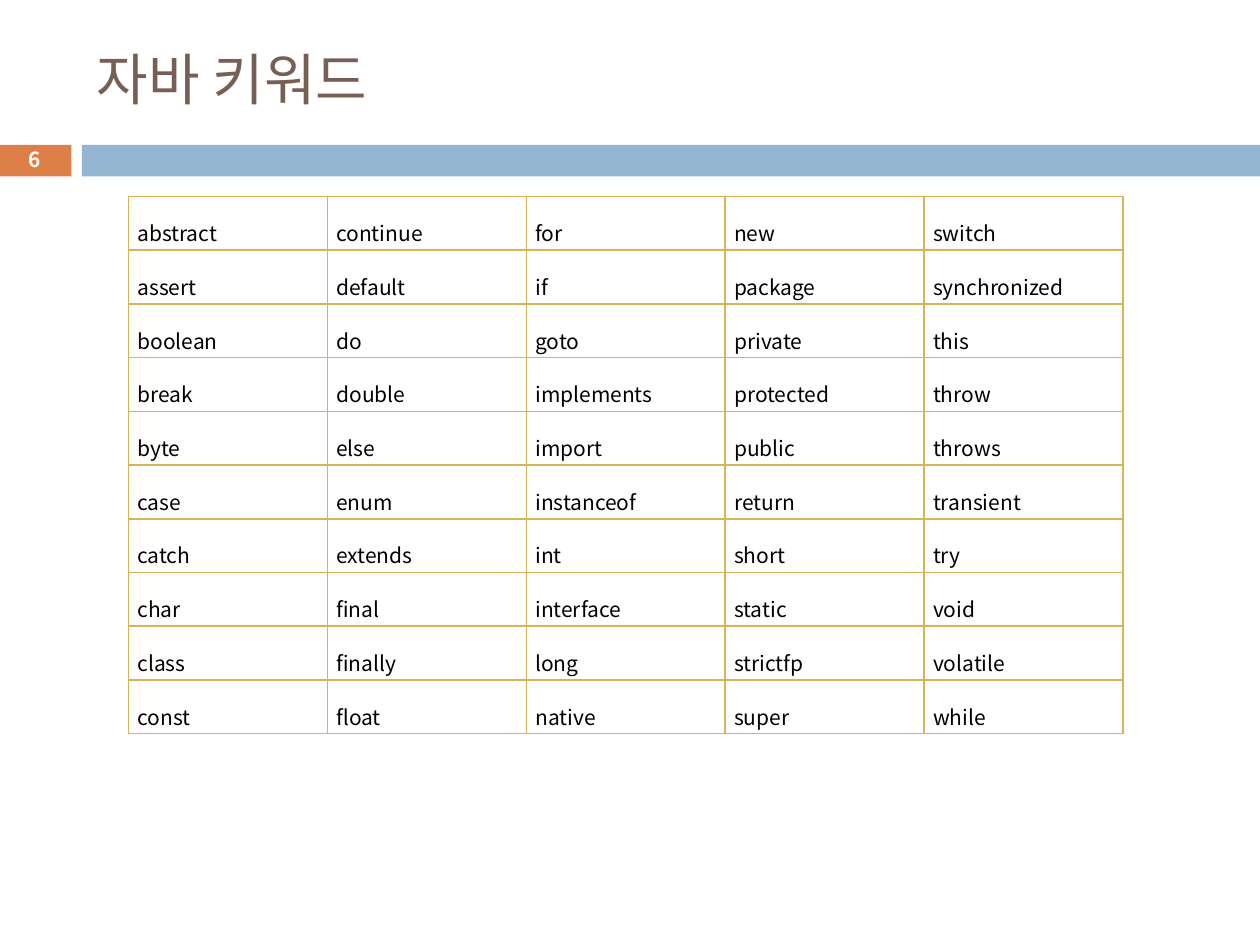
"""Build the slide that lists the Java keywords in a table."""
from dataclasses import dataclass

from lxml.etree import SubElement
from pptx import Presentation
from pptx.dml.color import RGBColor
from pptx.enum.shapes import MSO_SHAPE
from pptx.enum.text import MSO_ANCHOR, MSO_AUTO_SIZE, PP_ALIGN
from pptx.oxml.ns import qn
from pptx.slide import Slide
from pptx.table import _Cell
from pptx.text.text import TextFrame
from pptx.util import Cm, Pt

COLORS = {
    "page": "DD8047",
    "band": "94B6D2",
    "title": "775F55",
    "border": "D8B25C",
    "keyword": "000000",
    "number": "FFFFFF",
}
FONT = "Noto Sans CJK KR"
KEYWORDS = """
abstract continue for new switch
assert default if package synchronized
boolean do goto private this
break double implements protected throw
byte else import public throws
case enum instanceof return transient
catch extends int short try
char final interface static void
class finally long strictfp volatile
const float native super while
"""
CELL_FORMAT = {
    "margin_left": Cm(0.18),
    "margin_right": Cm(0.18),
    "margin_top": Cm(0.05),
    "margin_bottom": Cm(0.05),
    "vertical_anchor": MSO_ANCHOR.MIDDLE,
}
FRAME_FORMAT = {
    "word_wrap": True,
    "auto_size": MSO_AUTO_SIZE.NONE,
    "vertical_anchor": MSO_ANCHOR.MIDDLE,
}


@dataclass(frozen=True)
class Box:
    left: float
    top: float
    width: float
    height: float

    def lengths(self) -> tuple[Cm, Cm, Cm, Cm]:
        return Cm(self.left), Cm(self.top), Cm(self.width), Cm(self.height)


@dataclass(frozen=True)
class Bar:
    box: Box
    color: str


@dataclass(frozen=True)
class Style:
    size: float
    color: str
    align: PP_ALIGN
    bold: bool = False
    spacing: float = 1.0


BARS = (
    Bar(Box(-0.03, 2.92, 1.47, 0.64), "page"),
    Bar(Box(1.65, 2.92, 23.75, 0.64), "band"),
)
TITLE_BOX = Box(1.7, 0.64, 22.66, 1.88)
NUMBER_BOX = Box(-0.03, 2.87, 1.47, 0.69)
TABLE_LEFT, TABLE_TOP = 2.59, 3.96
COLUMN_WIDTH, ROW_HEIGHT = 4.01, 0.86
TITLE_STYLE = Style(32, "title", PP_ALIGN.LEFT)
NUMBER_STYLE = Style(11.9, "number", PP_ALIGN.CENTER, bold=True)
KEYWORD_STYLE = Style(12, "keyword", PP_ALIGN.JUSTIFY, spacing=1.6)


def rgb(name: str) -> RGBColor:
    return RGBColor.from_string(COLORS[name])


def apply_format(target: object, values: dict) -> None:
    for attribute, value in values.items():
        setattr(target, attribute, value)


def write(frame: TextFrame, words: str, style: Style) -> None:
    paragraph = frame.paragraphs[0]
    apply_format(paragraph, {"alignment": style.align, "line_spacing": style.spacing})
    run = paragraph.add_run()
    run.text = words
    apply_format(run.font, {"name": FONT, "size": Pt(style.size), "bold": style.bold})
    run.font.color.rgb = rgb(style.color)
    SubElement(run.font._element, qn("a:ea"), typeface=FONT)


def draw_bar(slide: Slide, bar: Bar) -> None:
    shape = slide.shapes.add_shape(MSO_SHAPE.RECTANGLE, *bar.box.lengths())
    shape.shadow.inherit = False
    shape.fill.solid()
    shape.fill.fore_color.rgb = rgb(bar.color)
    shape.line.fill.background()


def draw_title(slide: Slide, words: str) -> None:
    title = slide.shapes.title
    apply_format(title, dict(zip(("left", "top", "width", "height"), TITLE_BOX.lengths())))
    apply_format(title.text_frame, FRAME_FORMAT)
    write(title.text_frame, words, TITLE_STYLE)


def draw_number(slide: Slide, words: str) -> None:
    number = slide.shapes.add_textbox(*NUMBER_BOX.lengths())
    apply_format(number.text_frame, FRAME_FORMAT)
    write(number.text_frame, words, NUMBER_STYLE)


def add_borders(cell: _Cell) -> None:
    properties = cell._tc.get_or_add_tcPr()
    for side in ("lnL", "lnR", "lnT", "lnB"):
        line = SubElement(properties, qn(f"a:{side}"), w=str(Pt(1)))
        fill = SubElement(line, qn("a:solidFill"))
        SubElement(fill, qn("a:srgbClr"), val=COLORS["border"])


def draw_keywords(slide: Slide, rows: list[list[str]]) -> None:
    box = Box(TABLE_LEFT, TABLE_TOP, COLUMN_WIDTH * len(rows[0]), ROW_HEIGHT * len(rows))
    table = slide.shapes.add_table(len(rows), len(rows[0]), *box.lengths()).table
    apply_format(table, {"first_row": False, "horz_banding": False})
    for column in table.columns:
        column.width = Cm(COLUMN_WIDTH)
    for row, keywords in zip(table.rows, rows):
        row.height = Cm(ROW_HEIGHT)
        for cell, keyword in zip(row.cells, keywords):
            apply_format(cell, CELL_FORMAT)
            add_borders(cell)
            cell.fill.background()
            write(cell.text_frame, keyword, KEYWORD_STYLE)


def main() -> None:
    deck = Presentation()
    apply_format(deck, {"slide_width": Cm(25.4), "slide_height": Cm(19.05)})
    slide = deck.slides.add_slide(deck.slide_layouts[5])
    for bar in BARS:
        draw_bar(slide, bar)
    draw_title(slide, "자바 키워드")
    draw_keywords(slide, [line.split() for line in KEYWORDS.strip().splitlines()])
    draw_number(slide, "6")
    deck.save("out.pptx")


if __name__ == "__main__":
    main()
